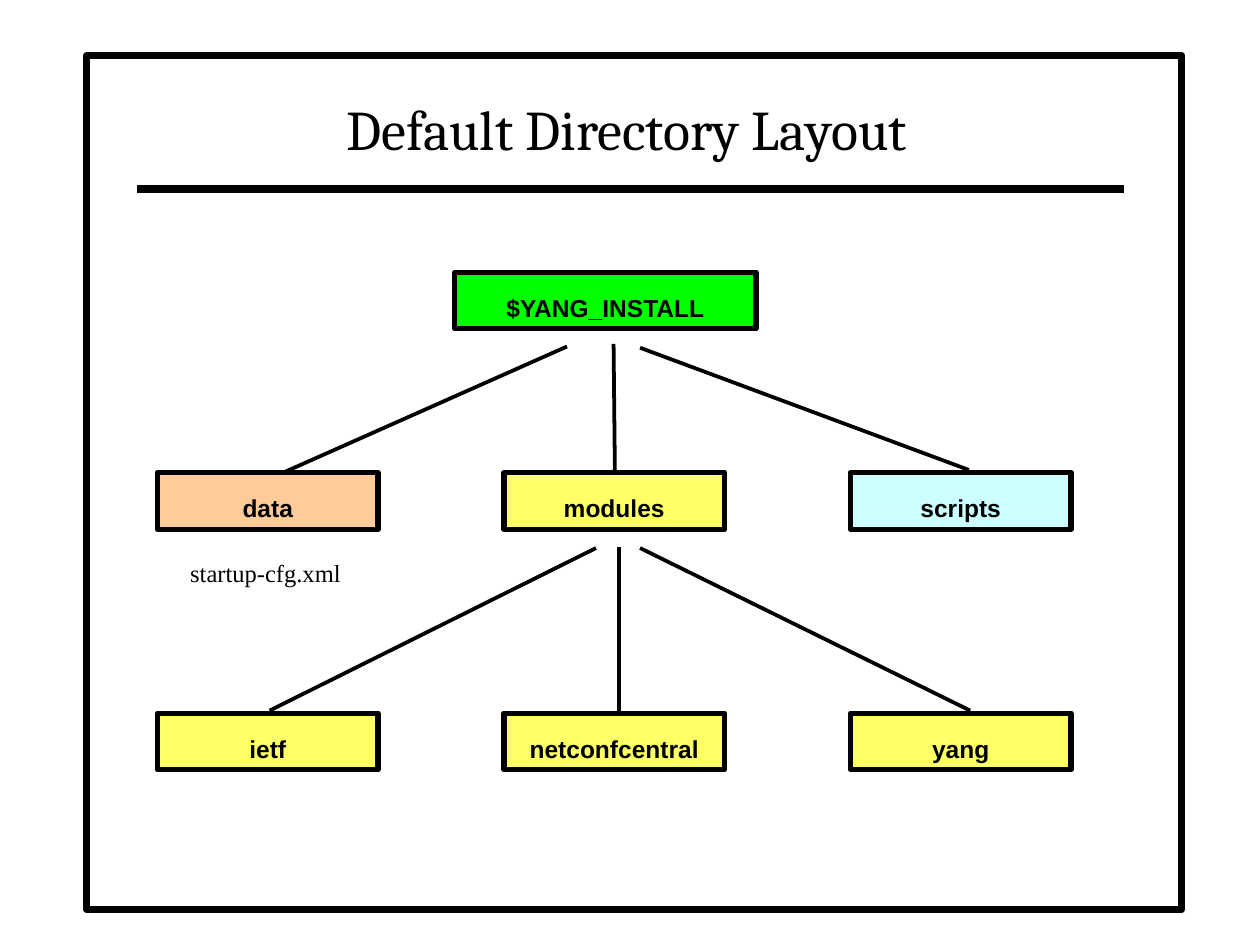
from dataclasses import dataclass

from lxml.etree import SubElement
from pptx import Presentation
from pptx.dml.color import RGBColor
from pptx.enum.shapes import MSO_CONNECTOR, MSO_SHAPE
from pptx.enum.text import MSO_ANCHOR, MSO_AUTO_SIZE, PP_ALIGN
from pptx.oxml.ns import qn
from pptx.util import Inches, Pt

BLACK, WHITE = "000000", "FFFFFF"
GREEN, ORANGE, YELLOW, CYAN = "00FF00", "FFCC99", "FFFF66", "CCFFFF"
COLUMNS = [1.25 + 2.75 * column for column in range(3)]
ROOT_TOP, FOLDER_TOP, MODULE_TOP = 2.16, 3.75, 5.66
FOLDER_WIDTH, FOLDER_HEIGHT = 1.75, 0.45


@dataclass
class Folder:
    name: str
    left: float
    top: float
    fill: str
    width: float = FOLDER_WIDTH


@dataclass
class Branch:
    start: tuple[float, float]
    end: tuple[float, float]


FOLDERS = [
    Folder("$YANG_INSTALL", 3.61, ROOT_TOP, GREEN, 2.39),
    *(Folder(name, left, FOLDER_TOP, fill) for name, left, fill in
      zip(("data", "modules", "scripts"), COLUMNS, (ORANGE, YELLOW, CYAN))),
    *(Folder(name, left, MODULE_TOP, YELLOW) for name, left in
      zip(("ietf", "netconfcentral", "yang"), COLUMNS)),
]

BRANCHES = [
    # Root to its folders
    Branch((4.5, 2.75), (2.25, 3.75)),
    Branch((4.87, 2.73), (4.88, 3.73)),
    Branch((5.08, 2.76), (7.69, 3.73)),
    # Modules to its folders
    Branch((4.73, 4.35), (2.14, 5.64)),
    Branch((4.91, 4.34), (4.91, 5.65)),
    Branch((5.08, 4.35), (7.7, 5.64)),
]


def color(value: str) -> RGBColor:
    return RGBColor.from_string(value)


def set_all(target, **values) -> None:
    for name, value in values.items():
        setattr(target, name, value)


def write(box, text: str, font: str, size: float, bold: bool = False,
          align=PP_ALIGN.CENTER, spacing: float = 1.0) -> None:
    para = box.text_frame.paragraphs[0]
    set_all(para, alignment=align, line_spacing=spacing)
    span = para.add_run()
    span.text = text
    set_all(span.font, name=font, size=Pt(size), bold=bold)
    span.font.color.rgb = color(BLACK)


def set_margins(box, across: float, down: float) -> None:
    set_all(box.text_frame, margin_left=Inches(across), margin_right=Inches(across),
            margin_top=Inches(down), margin_bottom=Inches(down))


def add_rectangle(page, left: float, top: float, width: float, height: float,
                  fill: str, line_width: float):
    box = page.shapes.add_shape(MSO_SHAPE.RECTANGLE, Inches(left), Inches(top),
                                Inches(width), Inches(height))
    box.shadow.inherit = False
    box.fill.solid()
    box.fill.fore_color.rgb = color(fill)
    box.line.color.rgb = color(BLACK)
    box.line.width = Pt(line_width)
    return box


def add_line(page, branch: Branch, width: float) -> None:
    points = [Inches(value) for value in (*branch.start, *branch.end)]
    line = page.shapes.add_connector(MSO_CONNECTOR.STRAIGHT, *points)
    line.line.color.rgb = color(BLACK)
    line.line.width = Pt(width)
    SubElement(line.element.spPr, qn("a:effectLst"))


def add_folder(page, folder: Folder) -> None:
    box = add_rectangle(page, folder.left, folder.top, folder.width,
                        FOLDER_HEIGHT, folder.fill, 3)
    set_margins(box, 0.1, 0.05)
    set_all(box.text_frame, word_wrap=True, vertical_anchor=MSO_ANCHOR.TOP)
    write(box, folder.name, "Arial", 14, bold=True, spacing=1.5)


def main() -> None:
    deck = Presentation()
    set_all(deck, slide_width=Inches(10), slide_height=Inches(7.5))
    page = deck.slides.add_slide(deck.slide_layouts[5])

    # Frame behind the title, and the rule under it
    title = page.shapes.title
    frame = add_rectangle(page, 0.69, 0.44, 8.69, 6.78, WHITE, 4)
    title.element.addprevious(frame.element)
    add_line(page, Branch((1.09, 1.5), (8.92, 1.5)), 4.5)

    # Title
    set_all(title, left=Inches(1.08), top=Inches(0.58),
            width=Inches(7.79), height=Inches(0.75))
    set_margins(title, 0.1, 0.05)
    set_all(title.text_frame, word_wrap=True, vertical_anchor=MSO_ANCHOR.BOTTOM,
            auto_size=MSO_AUTO_SIZE.NONE)
    write(title, "Default Directory Layout", "Cambria", 32)

    # Directory tree
    for folder in FOLDERS:
        add_folder(page, folder)
    for branch in BRANCHES:
        add_line(page, branch, 2.15)

    # File in the data folder
    file_box = page.shapes.add_textbox(Inches(1.38), Inches(4.35),
                                       Inches(1.46), Inches(0.39))
    set_margins(file_box, 0.13, 0.08)
    set_all(file_box.text_frame, word_wrap=False)
    write(file_box, "startup-cfg.xml", "Times New Roman", 14, align=PP_ALIGN.LEFT)

    deck.save("out.pptx")


if __name__ == "__main__":
    main()
